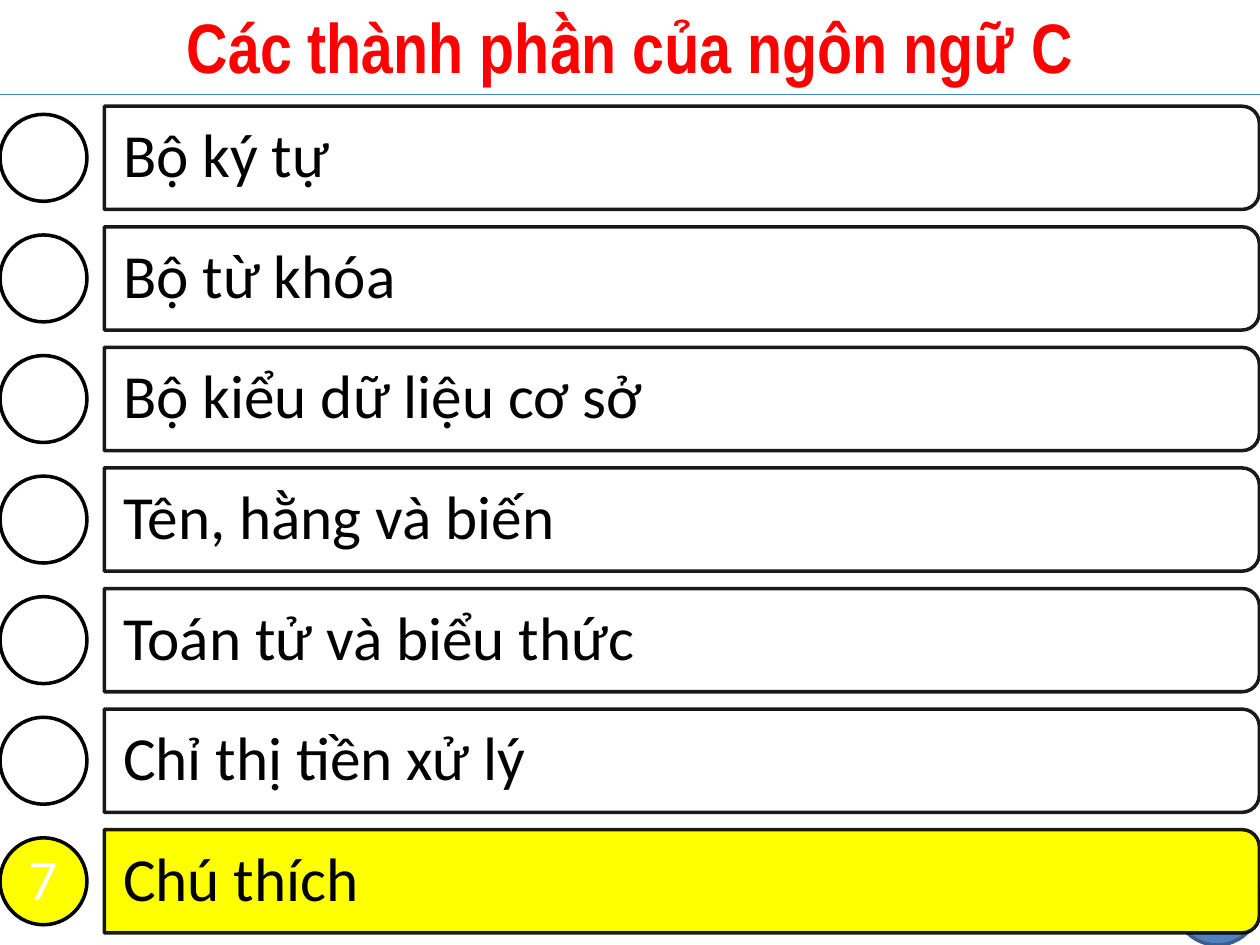
import pptx
import pptx.util
import pptx.dml.color
import pptx.enum.shapes
import pptx.enum.text
import pptx.oxml
import pptx.oxml.ns

Pt = pptx.util.Pt
Kind = pptx.enum.shapes.MSO_SHAPE
Align = pptx.enum.text.PP_ALIGN

HUES = {
    "white": "FFFFFF", "black": "000000", "red": "FF0000", "yellow": "FFFF00",
    "blue": "4F81BD", "navy": "3A5F8C", "rule": "4B7EBC",
}
ITEMS = [
    "Bộ ký tự", "Bộ từ khóa", "Bộ kiểu dữ liệu cơ sở", "Tên, hằng và biến",
    "Toán tử và biểu thức", "Chỉ thị tiền xử lý", "Chú thích",
]


class Deck:
    """Holds the style and the current slide."""

    def __init__(self, wide, high):
        self.file = pptx.Presentation()
        self.file.slide_width, self.file.slide_height = Pt(wide), Pt(high)
        self.page = self.file.slides.add_slide(self.file.slide_layouts[6])
        self.font = "Calibri"

    def hue(self, name):
        return pptx.dml.color.RGBColor.from_string(HUES[name])

    def fade(self, fill, part):
        """Set the opacity, in percent, of a solid fill element."""
        alpha = pptx.oxml.parse_xml(
            f'<a:alpha {pptx.oxml.ns.nsdecls("a")} val="{part * 1000}"/>')
        fill.find(pptx.oxml.ns.qn("a:srgbClr")).append(alpha)

    def shape(self, kind, left, top, wide, high, fill, edge="black"):
        item = self.page.shapes.add_shape(
            kind, Pt(left), Pt(top), Pt(wide), Pt(high))
        item.shadow.inherit = False
        item.fill.solid()
        item.fill.fore_color.rgb = self.hue(fill)
        item.line.color.rgb = self.hue(edge)
        item.line.width = Pt(2)
        return item

    def bar(self, left, mid, wide, high, fill):
        """A bar rounded on its right: a turned round-top rectangle."""
        item = self.shape(Kind.ROUND_2_SAME_RECTANGLE, left + (wide - high) / 2,
                          mid - wide / 2, high, wide, fill)
        item.rotation = 90
        tag = pptx.oxml.ns.qn("a:solidFill")
        props = item._element.spPr
        self.fade(props.find(pptx.oxml.ns.qn("a:ln")).find(tag), 90)
        if fill == "white":
            self.fade(props.find(tag), 90)

    def text(self, item, words, size, color, align=Align.LEFT, font=None,
             bold=False, space=0.9, pad=(0, 0)):
        frame = item.text_frame
        frame.word_wrap = True
        frame.vertical_anchor = pptx.enum.text.MSO_ANCHOR.MIDDLE
        frame.margin_left = frame.margin_right = Pt(pad[0])
        frame.margin_top = frame.margin_bottom = Pt(pad[1])
        para = frame.paragraphs[0]
        para.text, para.alignment, para.line_spacing = words, align, space
        para.font.name, para.font.size = font or self.font, Pt(size)
        para.font.bold, para.font.color.rgb = bold, self.hue(color)

    def label(self, left, top, wide, high, words, size, color, **style):
        box = self.page.shapes.add_textbox(
            Pt(left), Pt(top), Pt(wide), Pt(high))
        self.text(box, words, size, color, **style)

    def rule(self, left, top, wide):
        line = self.page.shapes.add_connector(
            pptx.enum.shapes.MSO_CONNECTOR.STRAIGHT,
            Pt(left), Pt(top), Pt(left + wide), Pt(top))
        line.line.color.rgb = self.hue("rule")
        line.line.width = Pt(0.75)
        line._element.spPr.append(pptx.oxml.parse_xml(
            f'<a:effectLst {pptx.oxml.ns.nsdecls("a")}/>'))


def main():
    deck = Deck(720, 540)

    # Page badge, rule and title
    deck.shape(Kind.FLOWCHART_CONNECTOR, 671, 491, 49, 49, "blue", "navy")
    deck.rule(0, 54, 720)
    deck.label(0, -2, 720, 56, "Các thành phần của ngôn ngữ C", 40, "red",
               align=Align.CENTER, font="Arial Narrow", bold=True, space=1,
               pad=(7.2, 3.6))

    # One bar and one disc per item; the last is the current topic
    first, step, disc = 90.2, 68.9, 49.7
    for num, words in enumerate(ITEMS, 1):
        mid = first + (num - 1) * step
        last = num == len(ITEMS)
        fill = "yellow" if last else "white"
        deck.bar(59.6, mid, 660, 59, fill)
        deck.label(59.6, mid - 26.6, 657, 53.2, words, 35, "black",
                   pad=(10.8, 7.2))
        ball = deck.shape(Kind.OVAL, 0, mid - disc / 2, disc, disc, fill)
        if last:
            deck.text(ball, str(num), 33, "white", align=Align.CENTER)

    deck.file.save("out.pptx")


if __name__ == "__main__":
    main()
